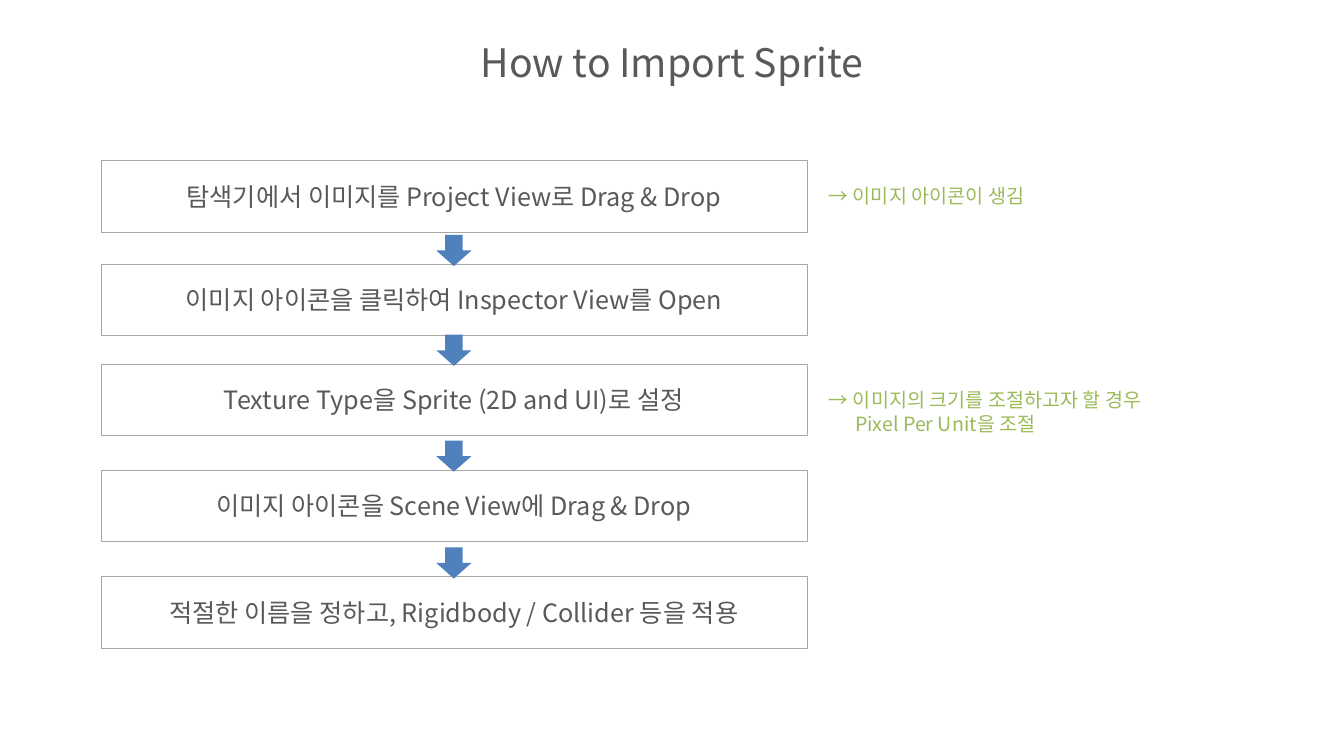
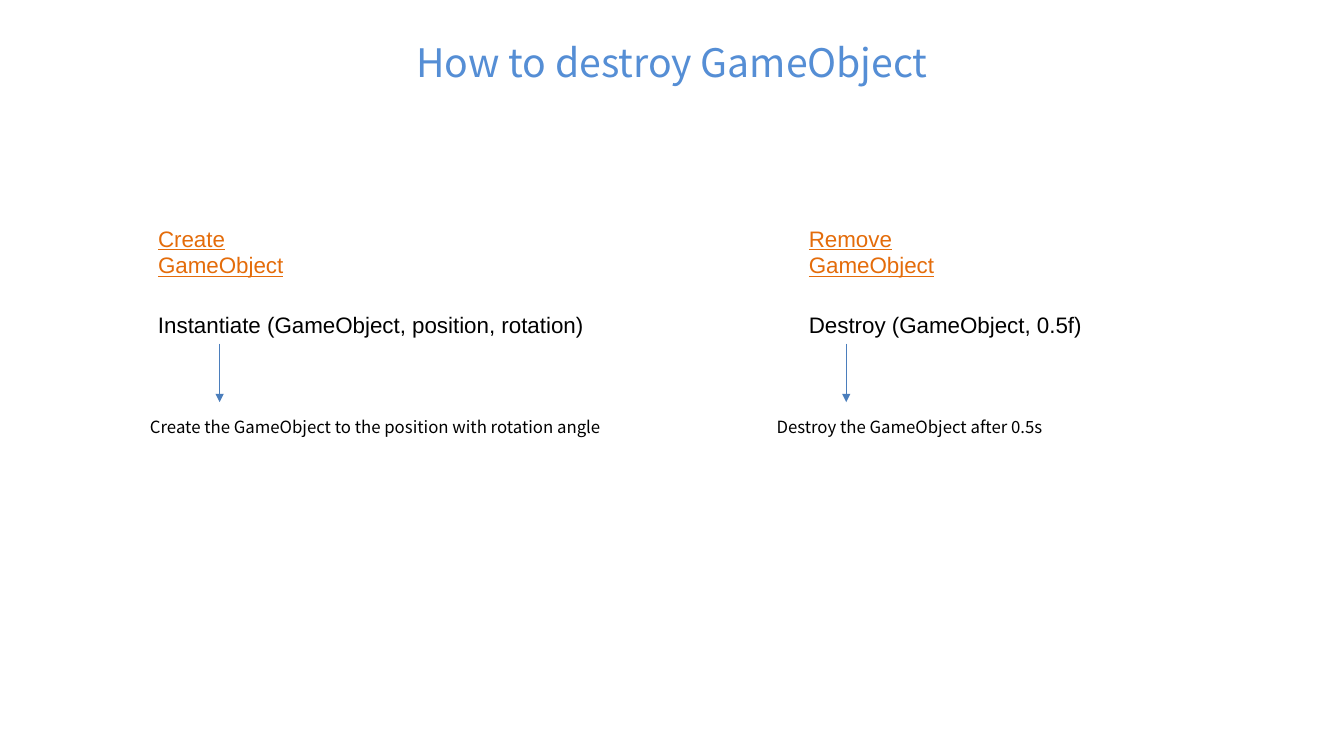
from lxml.etree import SubElement
from pptx import Presentation
from pptx.dml.color import RGBColor
from pptx.enum.shapes import MSO_CONNECTOR, MSO_SHAPE
from pptx.enum.text import MSO_ANCHOR, PP_ALIGN
from pptx.oxml.ns import qn
from pptx.util import Inches, Pt

SANS, ARIAL = "Noto Sans CJK KR", "Arial"
GREY, BLACK, WHITE = "595959", "000000", "FFFFFF"
BORDER, ARROW_FILL, ARROW_LINE = "A6A6A6", "4F81BD", "4B7EBC"
GREEN, ORANGE, TITLE_BLUE = "9BBB59", "E46C0A", "558ED5"


def rgb(value):
    """Turn a hex string into a colour."""
    return RGBColor.from_string(value)


def write(shape, text, size, colour, font=SANS, centred=False):
    """Put one formatted paragraph into a shape and return the paragraph."""
    frame = shape.text_frame
    frame.word_wrap = True
    frame.vertical_anchor = MSO_ANCHOR.MIDDLE if centred else MSO_ANCHOR.TOP
    paragraph = frame.paragraphs[0]
    paragraph.text = text
    paragraph.alignment = PP_ALIGN.CENTER if centred else PP_ALIGN.LEFT
    for run in paragraph.runs:
        run.font.size = Pt(size)
        run.font.name = font
        run.font.color.rgb = rgb(colour)
        SubElement(run.font._element, qn("a:ea"), typeface=font)
    return paragraph


deck = Presentation()
deck.slide_width, deck.slide_height = Inches(13.34), Inches(7.5)

pages = []
for heading, colour in [("How to Import Sprite", GREY),
                        ("How to destroy GameObject", TITLE_BLUE)]:
    page = deck.slides.add_slide(deck.slide_layouts[6])
    title = page.shapes.add_textbox(Inches(0.67), Inches(0.3), Inches(12), Inches(0.62))
    write(title, heading, 28, colour, centred=True)
    pages.append(page)
import_page, destroy_page = pages

# Import steps, each reached by a block arrow from the one above
steps = [
    (1.59, "탐색기에서 이미지를 Project View로 Drag & Drop"),
    (2.62, "이미지 아이콘을 클릭하여 Inspector View를 Open"),
    (3.61, "Texture Type을 Sprite (2D and UI)로 설정"),
    (4.66, "이미지 아이콘을 Scene View에 Drag & Drop"),
    (5.72, "적절한 이름을 정하고, Rigidbody / Collider 등을 적용"),
]
for number, (top, step) in enumerate(steps):
    box = import_page.shapes.add_shape(
        MSO_SHAPE.RECTANGLE, Inches(1), Inches(top), Inches(7.01), Inches(0.71))
    box.shadow.inherit = False
    box.fill.solid()
    box.fill.fore_color.rgb = rgb(WHITE)
    box.line.color.rgb = rgb(BORDER)
    box.line.width = Pt(0.25)
    write(box, step, 18, GREY, centred=True)
    if number:
        arrow = import_page.shapes.add_shape(
            MSO_SHAPE.DOWN_ARROW, Inches(4.33), Inches(top - 0.29), Inches(0.35), Inches(0.31))
        arrow.shadow.inherit = False
        arrow.fill.solid()
        arrow.fill.fore_color.rgb = rgb(ARROW_FILL)
        arrow.line.fill.background()

# Side notes with a hanging indent behind the arrow sign
for top, width, height, remark in [
    (1.78, 2.37, 0.34, "→ 이미지 아이콘이 생김"),
    (3.8, 3.68, 0.57, "→ 이미지의 크기를 조절하고자 할 경우\vPixel Per Unit을 조절"),
]:
    note = import_page.shapes.add_textbox(
        Inches(8.13), Inches(top), Inches(width), Inches(height))
    paragraph = write(note, remark, 14, GREEN)
    paragraph.line_spacing = Pt(16.8)
    indent = paragraph._p.get_or_add_pPr()
    indent.set("marL", str(Inches(0.26)))
    indent.set("indent", str(-Inches(0.26)))

# Two calls: heading, code, arrow and effect
calls = [
    (1.47, "Create GameObject", "Instantiate (GameObject, position, rotation)", 5.14,
     2.18, 1.39, "Create the GameObject to the position with rotation angle", 4.68),
    (7.93, "Remove GameObject", "Destroy (GameObject, 0.5f)", 3.12,
     8.4, 7.61, "Destroy the GameObject after 0.5s", 2.86),
]
for left, purpose, code, code_width, arrow_x, effect_left, effect, effect_width in calls:
    heading = destroy_page.shapes.add_textbox(
        Inches(left), Inches(2.18), Inches(2.11), Inches(0.37))
    write(heading, purpose, 16, ORANGE, ARIAL).runs[0].font.underline = True

    call = destroy_page.shapes.add_textbox(
        Inches(left), Inches(3.04), Inches(code_width), Inches(0.37))
    write(call, code, 16, BLACK, ARIAL)

    pointer = destroy_page.shapes.add_connector(
        MSO_CONNECTOR.STRAIGHT, Inches(arrow_x), Inches(3.41), Inches(arrow_x), Inches(3.99))
    pointer.line.color.rgb = rgb(ARROW_LINE)
    pointer.line.width = Pt(0.75)
    SubElement(pointer.line._get_or_add_ln(), qn("a:tailEnd"), type="triangle")
    SubElement(pointer._element.spPr, qn("a:effectLst"))

    result = destroy_page.shapes.add_textbox(
        Inches(effect_left), Inches(4.09), Inches(effect_width), Inches(0.3))
    write(result, effect, 12, BLACK).line_spacing = Pt(14.4)

deck.save("out.pptx")
